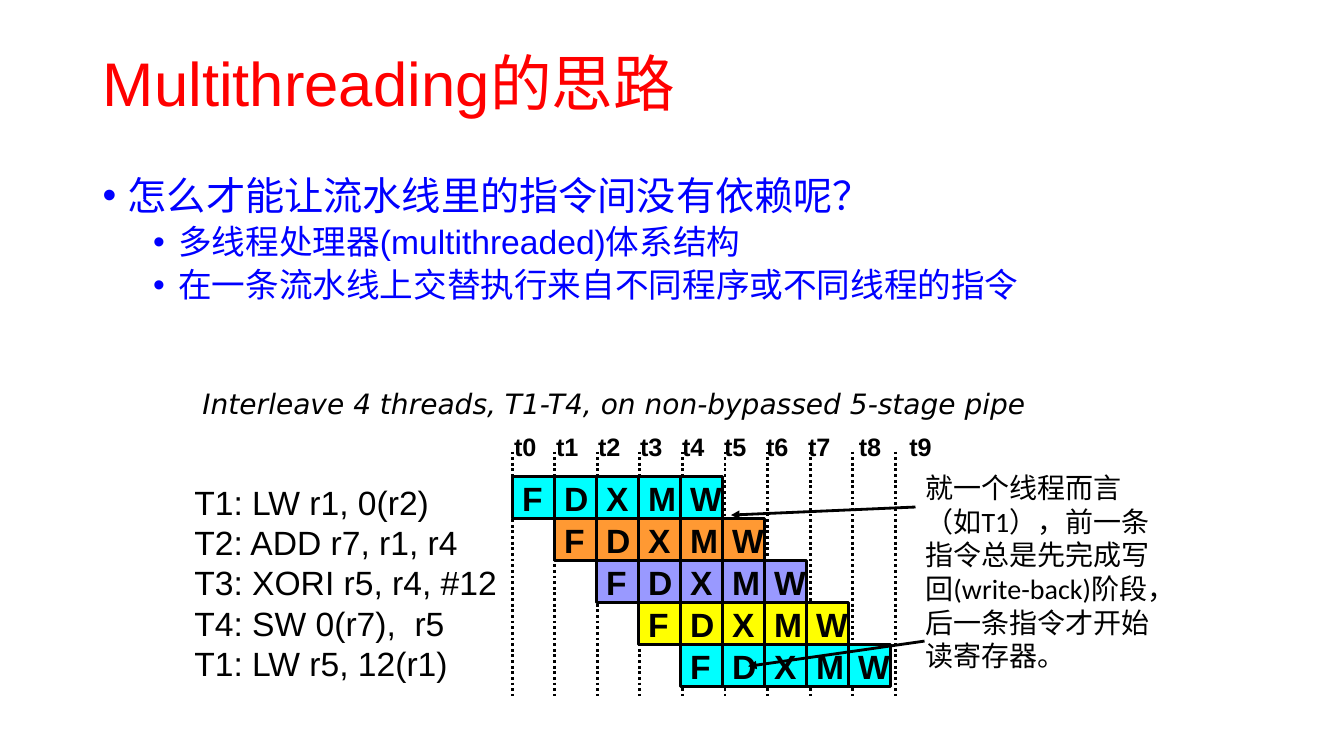
from dataclasses import dataclass

from lxml import etree
from pptx import Presentation
from pptx import util as u
from pptx.dml.color import RGBColor
from pptx.enum import dml, shapes, text
from pptx.oxml import ns

RED = RGBColor(0xFF, 0x00, 0x00)
BLUE = RGBColor(0x00, 0x00, 0xFF)
BLACK = RGBColor(0x00, 0x00, 0x00)
CYAN = RGBColor(0x00, 0xFF, 0xFF)
ORANGE = RGBColor(0xFF, 0x99, 0x33)
VIOLET = RGBColor(0x99, 0x99, 0xFF)
YELLOW = RGBColor(0xFF, 0xFF, 0x00)

STAGES = "FDXMW"
CELL = 5 / 12
PIPE_LEFT, PIPE_TOP = 5.08, 4.73
CYCLES = 10
CYCLE_GAP = 3.8 / 9


@dataclass(frozen=True)
class Style:
    size: float
    font: str = "Arial"
    color: RGBColor = BLACK
    bold: bool = False
    italic: bool = False


@dataclass(frozen=True)
class Bullet:
    words: str
    level: int
    size: float
    margin: float
    space_before: float


@dataclass(frozen=True)
class Instruction:
    words: str
    fill: RGBColor


@dataclass(frozen=True)
class Line:
    start: tuple[float, float]
    end: tuple[float, float]
    arrow: bool = False


BULLETS = [
    Bullet("怎么才能让流水线里的指令间没有依赖呢？", 0, 28, 0.25, 0),
    Bullet("多线程处理器(multithreaded)体系结构", 1, 24, 0.75, 5),
    Bullet("在一条流水线上交替执行来自不同程序或不同线程的指令", 1, 24, 0.75, 5),
]
INSTRUCTIONS = [
    Instruction("T1: LW r1, 0(r2)", CYAN),
    Instruction("T2: ADD r7, r1, r4", ORANGE),
    Instruction("T3: XORI r5, r4, #12", VIOLET),
    Instruction("T4: SW 0(r7),  r5", YELLOW),
    Instruction("T1: LW r5, 12(r1)", CYAN),
]
WRITE_BACK_ARROWS = [
    Line((9.08, 5.03), (7.25, 5.11), arrow=True),
    Line((9.17, 6.36), (7.42, 6.61), arrow=True),
]


def add_run(paragraph, words: str, style: Style) -> None:
    run = paragraph.add_run()
    run.text = words
    font = run.font
    font.name, font.size = style.font, u.Pt(style.size)
    font.bold, font.italic = style.bold, style.italic
    font.color.rgb = style.color


def add_text(slide, left: float, top: float, width: float, height: float,
             lines: list[str], style: Style, wrap: bool = False) -> None:
    box = slide.shapes.add_textbox(*map(u.Inches, (left, top, width, height)))
    frame = box.text_frame
    frame.word_wrap = wrap
    frame.auto_size = text.MSO_AUTO_SIZE.SHAPE_TO_FIT_TEXT
    for i, words in enumerate(lines):
        paragraph = frame.add_paragraph() if i else frame.paragraphs[0]
        add_run(paragraph, words, style)


def add_line(slide, line: Line) -> None:
    connector = slide.shapes.add_connector(
        shapes.MSO_CONNECTOR.STRAIGHT, *map(u.Inches, line.start + line.end))
    connector.line.color.rgb = BLACK
    connector.line.width = u.Pt(2)
    if line.arrow:
        etree.SubElement(connector.line._get_or_add_ln(), ns.qn("a:tailEnd"), type="triangle")
    else:
        connector.line.dash_style = dml.MSO_LINE.ROUND_DOT
    etree.SubElement(connector._element.spPr, ns.qn("a:effectLst"))


def add_stage(slide, left: float, top: float, letter: str, fill: RGBColor) -> None:
    stage = slide.shapes.add_shape(
        shapes.MSO_SHAPE.RECTANGLE, *map(u.Inches, (left, top, CELL, CELL)))
    stage.shadow.inherit = False
    stage.fill.solid()
    stage.fill.fore_color.rgb = fill
    stage.line.color.rgb = BLACK
    stage.line.width = u.Pt(2)
    frame = stage.text_frame
    frame.word_wrap = False
    frame.vertical_anchor = text.MSO_ANCHOR.MIDDLE
    frame.paragraphs[0].alignment = text.PP_ALIGN.LEFT
    add_run(frame.paragraphs[0], letter, Style(24, bold=True))


def add_title(slide) -> None:
    title = slide.shapes.title
    title.left, title.top, title.width, title.height = map(u.Inches, (0.92, 0.4, 11.5, 0.91))
    title.text_frame.vertical_anchor = text.MSO_ANCHOR.MIDDLE
    heading = title.text_frame.paragraphs[0]
    heading.alignment = text.PP_ALIGN.LEFT
    heading.line_spacing = 0.9
    add_run(heading, "Multithreading的思路", Style(44, color=RED))


def add_bullets(slide) -> None:
    box = slide.shapes.add_textbox(*map(u.Inches, (0.92, 1.7, 11.5, 5.59)))
    frame = box.text_frame
    frame.word_wrap = True
    for i, bullet in enumerate(BULLETS):
        paragraph = frame.add_paragraph() if i else frame.paragraphs[0]
        paragraph.level = bullet.level
        paragraph.line_spacing = 0.9
        if bullet.space_before:
            paragraph.space_before = u.Pt(bullet.space_before)
        properties = paragraph._p.get_or_add_pPr()
        properties.set("marL", str(u.Inches(bullet.margin)))
        properties.set("indent", str(u.Inches(-0.25)))
        etree.SubElement(properties, ns.qn("a:buFont"), typeface="Arial")
        etree.SubElement(properties, ns.qn("a:buChar"), char="•")
        add_run(paragraph, bullet.words, Style(bullet.size, color=BLUE))


def add_pipeline(slide) -> None:
    # Clock cycles: dotted lines behind the stages
    for cycle in range(CYCLES):
        x = PIPE_LEFT + cycle * CYCLE_GAP
        add_line(slide, Line((x, 4.48), (x, 6.9)))

    # Each instruction enters one cycle after the one above it
    for row, instruction in enumerate(INSTRUCTIONS):
        for column, letter in enumerate(STAGES, start=row):
            add_stage(slide, PIPE_LEFT + column * CELL, PIPE_TOP + row * CELL,
                      letter, instruction.fill)

    # Cycle labels: the last two stand half an inch apart
    for cycle in range(CYCLES):
        left = 5 + cycle * CELL if cycle < 8 else 8.42 + (cycle - 8) * 0.5
        add_text(slide, left, 4.23, 0.43, 0.4, [f"t{cycle}"], Style(18, bold=True))

    # Instruction list and caption
    add_text(slide, 1.83, 4.73, 3.23, 2.12,
             [instruction.words for instruction in INSTRUCTIONS], Style(24))
    add_text(slide, 1.91, 3.79, 8.51, 0.43,
             ["Interleave 4 threads, T1-T4, on non-bypassed 5-stage pipe"],
             Style(20, "DejaVu Sans", italic=True))


def add_write_back_note(slide) -> None:
    add_text(slide, 9.08, 4.62, 2.58, 2.12,
             ["就一个线程而言（如T1），前一条指令总是先完成写回(write-back)阶段，"
              "后一条指令才开始读寄存器。"],
             Style(20, "Calibri"), wrap=True)
    for arrow in WRITE_BACK_ARROWS:
        add_line(slide, arrow)


def main() -> None:
    deck = Presentation()
    deck.slide_width, deck.slide_height = u.Inches(13.33), u.Inches(7.5)
    slide = deck.slides.add_slide(deck.slide_layouts.get_by_name("Title Only"))
    add_title(slide)
    add_bullets(slide)
    add_pipeline(slide)
    add_write_back_note(slide)
    deck.save("out.pptx")


if __name__ == "__main__":
    main()
